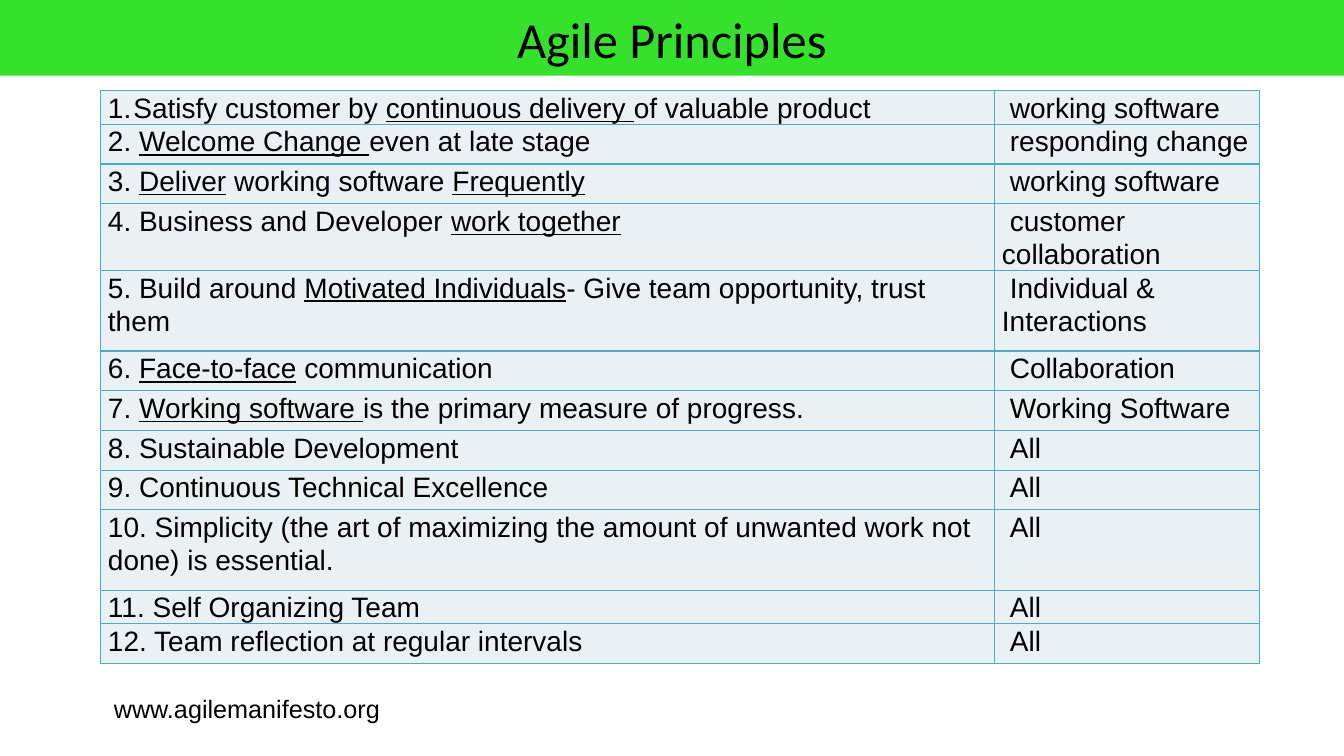
from lxml.etree import SubElement
from pptx import Presentation
from pptx.dml.color import RGBColor
from pptx.enum.shapes import MSO_SHAPE
from pptx.enum.text import MSO_ANCHOR, PP_ALIGN
from pptx.oxml import parse_xml
from pptx.oxml.ns import nsdecls, qn
from pptx.util import Cm, Pt

TITLE = "Agile Principles"
SITE = "www.agilemanifesto.org"
RULES = [
    ("Satisfy customer by _continuous delivery _of valuable product", "working software", 0.15),
    ("2. _Welcome Change _even at late stage", "responding change", 1),
    ("3. _Deliver_ working software _Frequently_", "working software", 1),
    ("4. Business and Developer _work together_", "customer collaboration", 1),
    ("5. Build around _Motivated Individuals_- Give team opportunity, trust them",
     "Individual & Interactions", 2.03),
    ("6. _Face-to-face_ communication", "Collaboration", 1),
    ("7. _Working software _is the primary measure of progress.", "Working Software", 1),
    ("8. Sustainable Development", "All", 1),
    ("9. Continuous Technical Excellence", "All", 1),
    ("10. Simplicity (the art of maximizing the amount of unwanted work not done) is essential.",
     "All", 2.03),
    ("11. Self Organizing Team", "All", 0.18),
    ("12. Team reflection at regular intervals", "All", 1),
]
WIDTHS = (22.53, 6.68)
HUES = {"bar": "34E12B", "cell": "E9F1F5", "edge": "4BACC6", "text": "000000"}


def hue(name):
    return RGBColor.from_string(HUES[name])


def style(para, size, face="Arial"):
    para.font.size = Pt(size)
    para.font.name = face
    para.font.color.rgb = hue("text")


def indent(para, left, first):
    props = para._p.get_or_add_pPr()
    props.set("marL", str(Cm(left)))
    props.set("indent", str(Cm(first)))
    return props


def dress(cell):
    cell.margin_left = cell.margin_right = Cm(0.18)
    cell.margin_top = cell.margin_bottom = 0
    props = cell._tc.get_or_add_tcPr()
    for side in ("lnL", "lnR", "lnT", "lnB"):
        props.append(parse_xml(
            f'<a:{side} {nsdecls("a")} w="{Pt(1)}"><a:solidFill>'
            f'<a:srgbClr val="{HUES["edge"]}"/></a:solidFill></a:{side}>'))
    cell.fill.solid()
    cell.fill.fore_color.rgb = hue("cell")


def write(cell, text):
    para = cell.text_frame.paragraphs[0]
    para.line_spacing = 1.07
    for spot, part in enumerate(text.split("_")):
        if part:
            run = para.add_run()
            run.text = part
            if spot % 2:
                run.font.underline = True
    return para


deck = Presentation()
deck.slide_width, deck.slide_height = Cm(33.87), Cm(19.05)
slide = deck.slides.add_slide(deck.slide_layouts[6])

bar = slide.shapes.add_shape(MSO_SHAPE.RECTANGLE, 0, 0, deck.slide_width, Cm(1.91))
bar.shadow.inherit = False
bar.fill.solid()
bar.fill.fore_color.rgb = hue("bar")
bar.line.fill.background()
bar.text_frame.vertical_anchor = MSO_ANCHOR.MIDDLE
head = bar.text_frame.paragraphs[0]
head.text = TITLE
head.alignment = PP_ALIGN.CENTER
style(head, 36, "Calibri")

table = slide.shapes.add_table(len(RULES), len(WIDTHS), Cm(2.54), Cm(2.29),
                               Cm(sum(WIDTHS)), Cm(14.5)).table
table.first_row = table.horz_banding = False
for col, width in zip(table.columns, WIDTHS):
    col.width = Cm(width)
for row, (rule, value, height) in zip(table.rows, RULES):
    row.height = Cm(height)
    for cell in row.cells:
        dress(cell)
    left, right = (write(cell, text) for cell, text in zip(row.cells, (rule, value)))
    indent(right, 0, 0.2)
    if rule == RULES[0][0]:
        props = indent(left, 0.64, -0.64)
        SubElement(props, qn("a:buFont"), typeface="+mj-lt")
        SubElement(props, qn("a:buAutoNum"), type="arabicPeriod")
    for para in (left, right):
        style(para, 20)

note = slide.shapes.add_textbox(Cm(2.62), Cm(17.35), Cm(18.42), Cm(1.02))
note.text_frame.word_wrap = True
foot = note.text_frame.paragraphs[0]
foot.text = SITE
style(foot, 18)

deck.save("out.pptx")
